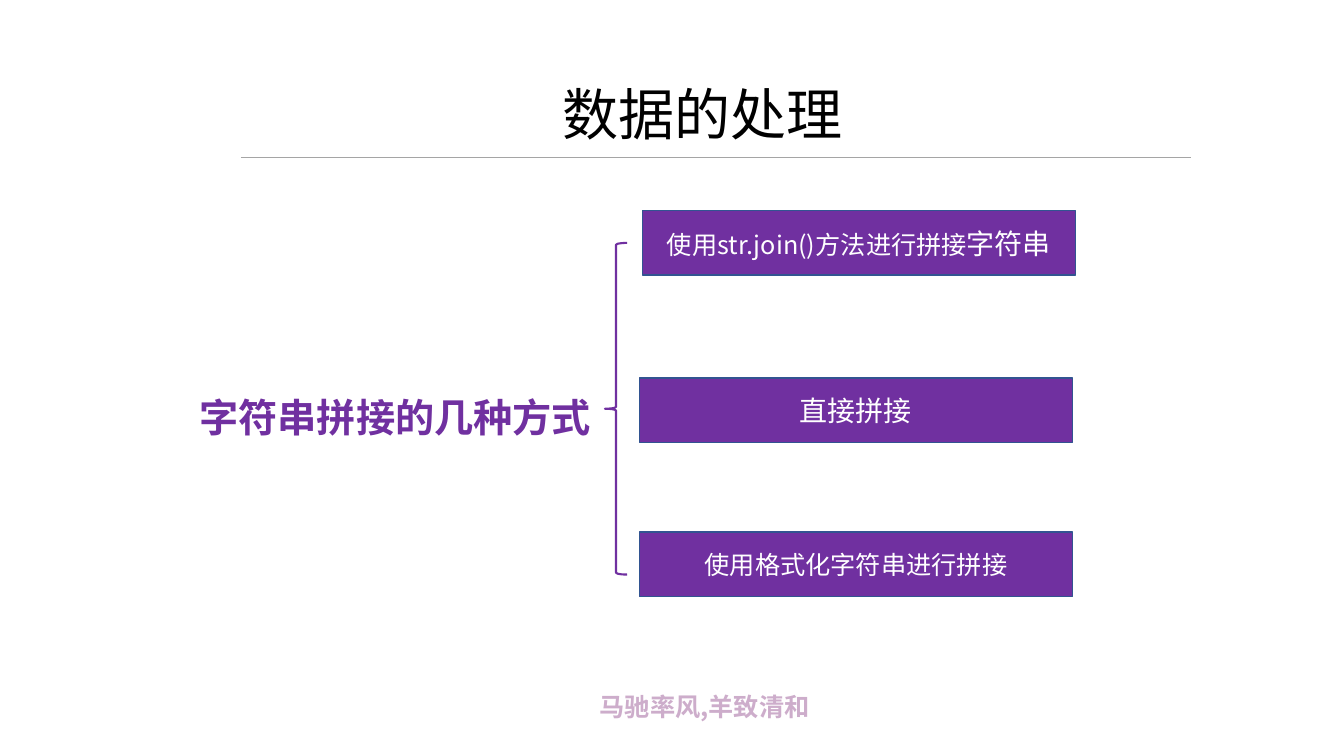
from lxml.etree import SubElement
from pptx import Presentation
from pptx.dml.color import RGBColor
from pptx.enum.shapes import MSO_CONNECTOR, MSO_SHAPE
from pptx.enum.text import MSO_ANCHOR, MSO_AUTO_SIZE, PP_ALIGN
from pptx.oxml.ns import qn
from pptx.util import Inches, Pt

FONT = "Noto Sans CJK SC"
PURPLE = "7030A0"


def color(value):
    return RGBColor.from_string(value)


def write(p, runs, fill, bold=False):
    """Fill a paragraph with (text, size) runs; the first size is its default."""
    size = runs[0][1]
    p.font.size, p.font.name, p.font.bold = Pt(size), FONT, bold
    p.font.color.rgb = color(fill)
    # East Asian glyphs need their own typeface entry
    SubElement(p.font._element, qn("a:ea"), typeface=FONT)
    for text, run_size in runs:
        r = p.add_run()
        r.text = text
        if run_size != size:
            r.font.size = Pt(run_size)


def add_text(s, box, text, size, fill, bold=False, wrap=True):
    tf = s.shapes.add_textbox(*map(Inches, box)).text_frame
    tf.word_wrap = wrap
    tf.auto_size = MSO_AUTO_SIZE.SHAPE_TO_FIT_TEXT
    write(tf.paragraphs[0], [(text, size)], fill, bold)


def add_header(s, x, y, w):
    # Title above a thin rule
    add_text(s, (x + 3.09, y, 3.01, 0.77), "数据的处理", 40, "000000", wrap=False)
    rule_y = Inches(y + 0.82)
    rule = s.shapes.add_connector(
        MSO_CONNECTOR.STRAIGHT, Inches(x), rule_y, Inches(x + w), rule_y)
    rule.line.color.rgb = color("A5A5A5")
    rule.line.width = Pt(0.5)
    SubElement(rule._element.spPr, qn("a:effectLst"))


def add_method(s, x, y, runs):
    sp = s.shapes.add_shape(
        MSO_SHAPE.RECTANGLE, *map(Inches, (x, y, 4.3, 0.64)))
    sp.shadow.inherit = False
    sp.fill.solid()
    sp.fill.fore_color.rgb = color(PURPLE)
    sp.line.color.rgb = color("325491")
    sp.line.width = Pt(1)
    tf = sp.text_frame
    tf.word_wrap = True
    tf.vertical_anchor = MSO_ANCHOR.MIDDLE
    p = tf.paragraphs[0]
    p.alignment = PP_ALIGN.CENTER
    write(p, runs, "FFFFFF")


def add_overview(s, x, y):
    # Topic on the left
    add_text(s, (x, y + 1.76, 4.34, 0.57), "字符串拼接的几种方式", 28, PURPLE, bold=True)

    # Brace that spans the methods
    brace = s.shapes.add_shape(
        MSO_SHAPE.LEFT_BRACE, *map(Inches, (x + 4.12, y + 0.32, 0.22, 3.29)))
    brace.shadow.inherit = False
    brace.fill.background()
    brace.line.color.rgb = color(PURPLE)
    brace.line.width = Pt(1.5)

    # Methods on the right
    methods = [
        (4.49, 0, [("使用str.join()方法进行拼接", 18), ("字符串", 20)]),
        (4.46, 1.66, [("直接拼接", 20)]),
        (4.46, 3.19, [("使用格式化字符串进行拼接", 18)]),
    ]
    for dx, dy, runs in methods:
        add_method(s, x + dx, y + dy, runs)


def main():
    prs = Presentation()
    prs.slide_width, prs.slide_height = Inches(13.33), Inches(7.5)
    s = prs.slides.add_slide(prs.slide_layouts[6])
    # Motto at the foot
    add_text(s, (5.85, 6.81, 2.84, 0.4), "马驰率风,羊致清和", 18, "CDADCB", bold=True)
    add_header(s, 2.39, 0.74, 9.42)
    add_overview(s, 1.88, 2.09)
    prs.save("out.pptx")


if __name__ == "__main__":
    main()
